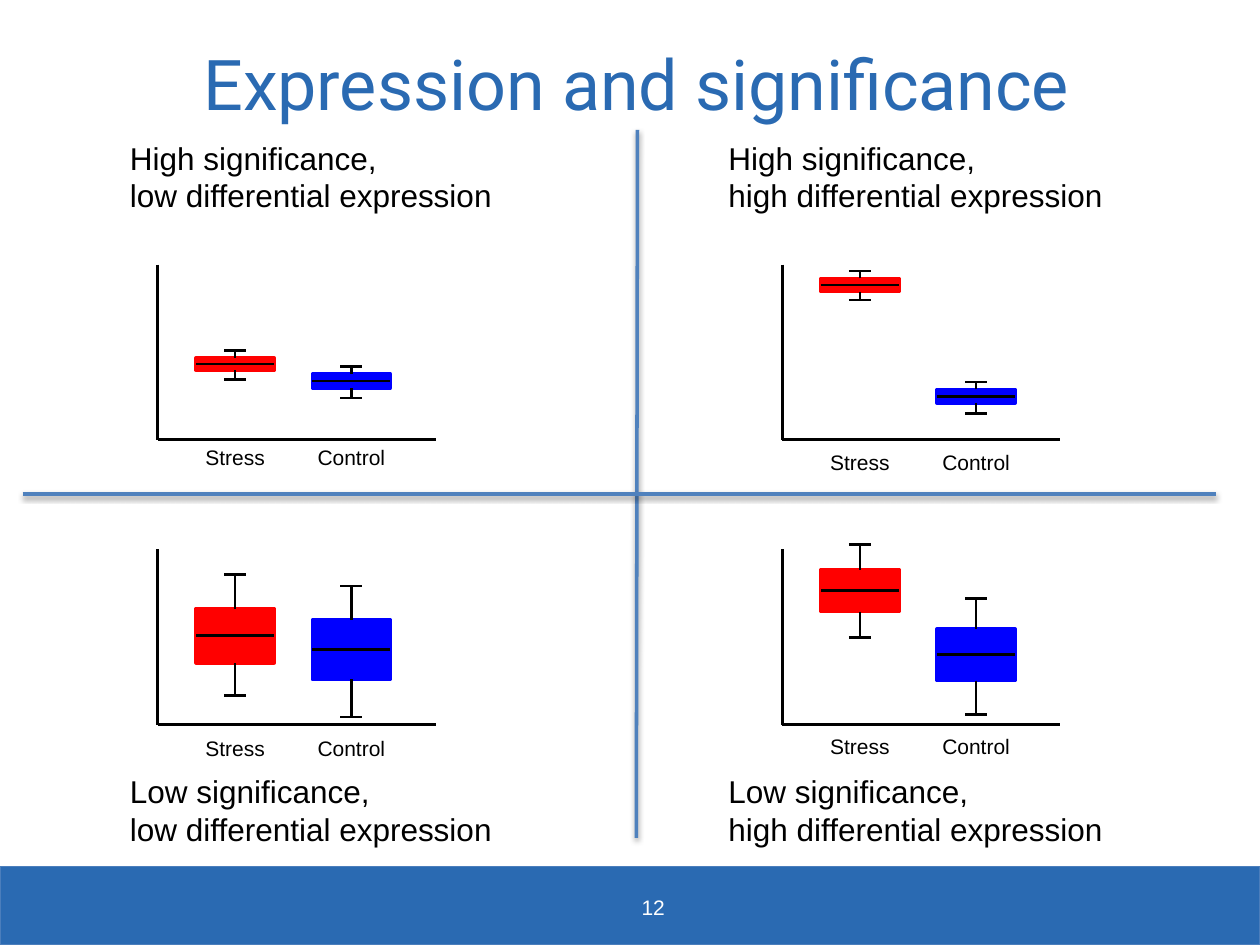
from dataclasses import dataclass

from lxml import etree
from pptx import Presentation
from pptx.dml.color import RGBColor
from pptx.enum.shapes import MSO_CONNECTOR, MSO_SHAPE
from pptx.enum.text import MSO_ANCHOR, MSO_AUTO_SIZE, PP_ALIGN
from pptx.oxml import parse_xml
from pptx.oxml.ns import qn
from pptx.util import Pt

STRAIGHT = MSO_CONNECTOR.STRAIGHT
RECTANGLE = MSO_SHAPE.RECTANGLE
LEFT, CENTER = PP_ALIGN.LEFT, PP_ALIGN.CENTER
TOP, MIDDLE = MSO_ANCHOR.TOP, MSO_ANCHOR.MIDDLE
TOP_SITE, BOTTOM_SITE = 0, 2


@dataclass(frozen=True)
class Theme:
    brand: RGBColor = RGBColor(0x2A, 0x6A, 0xB2)
    band_line: RGBColor = RGBColor(0x4B, 0x7E, 0xBC)
    divider: RGBColor = RGBColor(0x4F, 0x81, 0xBD)
    ink: RGBColor = RGBColor(0, 0, 0)
    white: RGBColor = RGBColor(255, 255, 255)
    stress: RGBColor = RGBColor(255, 0, 0)
    control: RGBColor = RGBColor(0, 0, 255)
    title_font: str = "Roboto"
    body_font: str = "Arial"
    title_size: float = 40
    caption_size: float = 18
    label_size: float = 12


THEME = Theme()

SLIDE_WIDTH, SLIDE_HEIGHT = 720, 540
AXIS_WIDTH, AXIS_HEIGHT = 159, 100
BOX_WIDTH, CAP_WIDTH = 44.6, 12.6
LABEL_WIDTH, LABEL_HEIGHT = 72, 21.6
GROUPS = (("Stress", THEME.stress, 44.4), ("Control", THEME.control, 110.8))

SHADOW = (
    '<a:effectLst xmlns:a="http://schemas.openxmlformats.org/drawingml/2006/main">'
    '<a:outerShdw blurRad="38100" dist="20320" dir="5400000" rotWithShape="0">'
    '<a:srgbClr val="000000"><a:alpha val="38000"/></a:srgbClr>'
    "</a:outerShdw></a:effectLst>"
)

# Caption place and text, chart place, label offset, then for each group:
# upper whisker, box top, box bottom, lower whisker, measured from the chart top.
QUADRANTS = (
    ((70.6, 75.6), "High significance, \vlow differential expression", (90, 151.2), 99.4,
     ((49, 53.3, 60.5, 65.5), (58.3, 62.6, 70.5, 76.3))),
    ((412.6, 75.6), "High significance, \vhigh differential expression", (447, 151.2), 102.2,
     ((3.6, 7.9, 15.5, 20.2), (67, 71.3, 79.2, 85))),
    ((70.6, 437.8), "Low significance, \vlow differential expression", (90, 314), 103,
     ((14.4, 33.8, 64.8, 83.5), (20.9, 40.3, 74.2, 95.8))),
    ((412.6, 437.8), "Low significance, \vhigh differential expression", (447, 314), 101.5,
     ((-2.9, 11.5, 35.5, 50.4), (28.1, 45.4, 74.9, 94.3))),
)


def set_attributes(target, values):
    for name, value in values.items():
        setattr(target, name, value)


def place(shape, left, top, width, height):
    set_attributes(shape, {"left": Pt(left), "top": Pt(top),
                           "width": Pt(width), "height": Pt(height)})


def write(shape, text, size, color, font=THEME.body_font, align=LEFT, anchor=TOP, inset=3.6):
    frame = shape.text_frame
    set_attributes(frame, {
        "word_wrap": True, "auto_size": MSO_AUTO_SIZE.NONE, "vertical_anchor": anchor,
        "margin_left": Pt(inset), "margin_right": Pt(inset),
        "margin_top": Pt(inset), "margin_bottom": Pt(inset)})
    paragraph = frame.paragraphs[0]
    paragraph.text = text
    paragraph.alignment = align
    for run in paragraph.runs:
        set_attributes(run.font, {"name": font, "size": Pt(size)})
        run.font.color.rgb = color


def add_text(slide, box, text, size, color=THEME.ink, **layout):
    shape = slide.shapes.add_textbox(*map(Pt, box))
    write(shape, text, size, color, **layout)


def add_block(slide, box, fill, line, line_width):
    shape = slide.shapes.add_shape(RECTANGLE, *map(Pt, box))
    shape.shadow.inherit = False
    shape.fill.solid()
    shape.fill.fore_color.rgb = fill
    shape.line.color.rgb = line
    shape.line.width = Pt(line_width)
    return shape


def add_line(slide, start, end, color=THEME.ink, width=1.5, shadow=False):
    line = slide.shapes.add_connector(STRAIGHT, *map(Pt, (*start, *end)))
    line.line.color.rgb = color
    line.line.width = Pt(width)
    properties = line._element.spPr
    if shadow:
        properties.append(parse_xml(SHADOW))
    else:
        etree.SubElement(properties, qn("a:effectLst"))
    return line


def add_box_plot(slide, center, top, levels, color):
    high, box_top, box_bottom, low = (top + level for level in levels)
    left = center - BOX_WIDTH / 2
    box = add_block(slide, (left, box_top, BOX_WIDTH, box_bottom - box_top), color, color, 2)
    for site, edge, tip in ((BOTTOM_SITE, box_bottom, low), (TOP_SITE, box_top, high)):
        whisker = add_line(slide, (center, edge), (center, tip))
        whisker.begin_connect(box, site)
        add_line(slide, (center - CAP_WIDTH / 2, tip), (center + CAP_WIDTH / 2, tip))
    median = (box_top + box_bottom) / 2
    add_line(slide, (left, median), (left + BOX_WIDTH, median))


def add_chart_panel(slide, left, top, label_offset, plots):
    """Draw the axes, one box plot for each group and the group labels."""
    base = top + AXIS_HEIGHT
    add_line(slide, (left, top), (left, base))
    add_line(slide, (left, base), (left + AXIS_WIDTH, base))
    for (name, color, offset), levels in zip(GROUPS, plots):
        center = left + offset
        add_box_plot(slide, center, top, levels, color)
        label_box = (center - LABEL_WIDTH / 2, top + label_offset, LABEL_WIDTH, LABEL_HEIGHT)
        add_text(slide, label_box, name, THEME.label_size, align=CENTER)


def add_footer(slide, left, top, width, height):
    add_block(slide, (left, top, width, height), THEME.brand, THEME.band_line, 0.75)
    add_text(slide, (left + 289.4, top + 12.6, 167.8, 21.6), "12", THEME.label_size,
             THEME.white, align=CENTER, anchor=MIDDLE)


def add_title(slide, left, top, width, height):
    title = slide.shapes.title
    place(title, left, top, width, height)
    write(title, "Expression and significance", THEME.title_size, THEME.brand,
          font=THEME.title_font, align=CENTER, anchor=MIDDLE, inset=0)


def add_dividers(slide):
    for start, end in (((364.3, 74.2), (363.6, 478.8)), ((13, 282.2), (694.8, 282.2))):
        add_line(slide, start, end, THEME.divider, 2, shadow=True)


def main():
    presentation = Presentation()
    presentation.slide_width = Pt(SLIDE_WIDTH)
    presentation.slide_height = Pt(SLIDE_HEIGHT)
    slide = presentation.slides.add_slide(presentation.slide_layouts.get_by_name("Title Only"))
    add_footer(slide, 0, 495, SLIDE_WIDTH, 45)
    add_title(slide, 2.9, 20.2, 721.4, 54)
    add_dividers(slide)
    for caption_place, caption, chart_place, label_offset, plots in QUADRANTS:
        add_text(slide, (*caption_place, 303, 51), caption, THEME.caption_size)
        add_chart_panel(slide, *chart_place, label_offset, plots)
    presentation.save("out.pptx")


if __name__ == "__main__":
    main()
